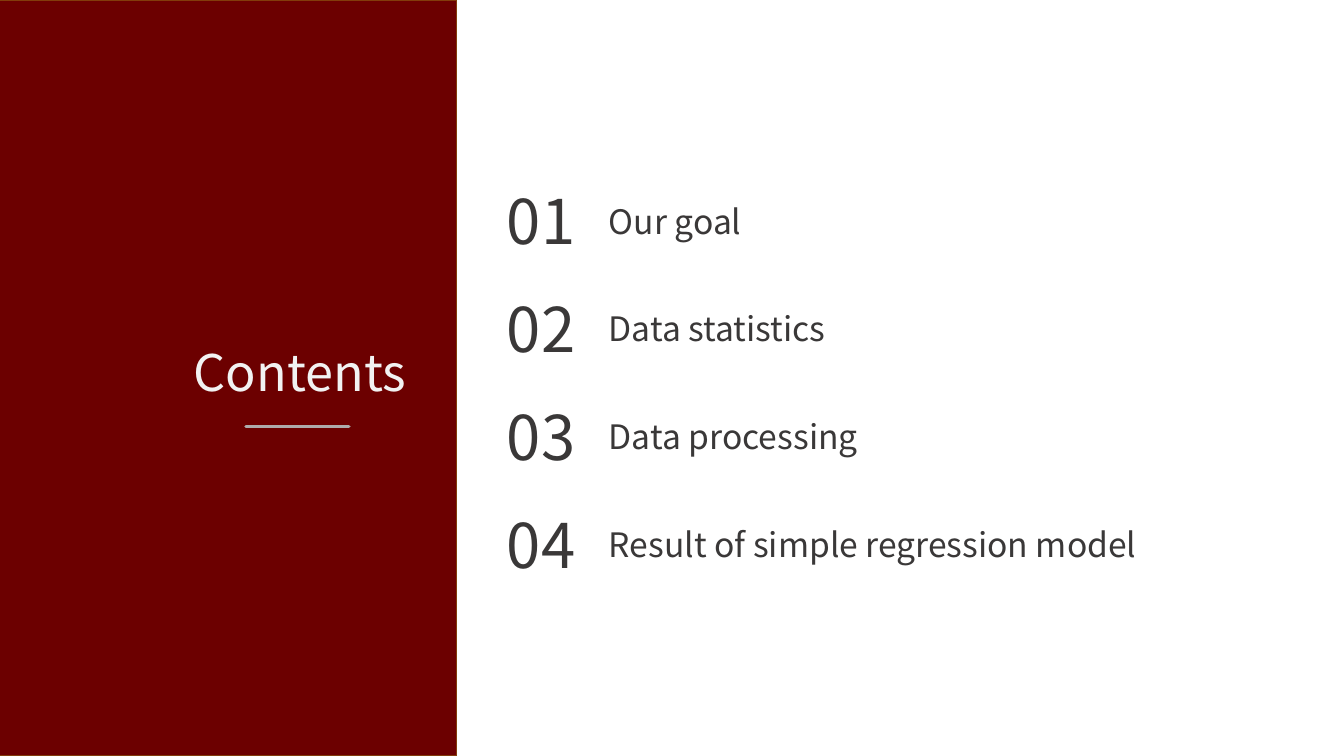
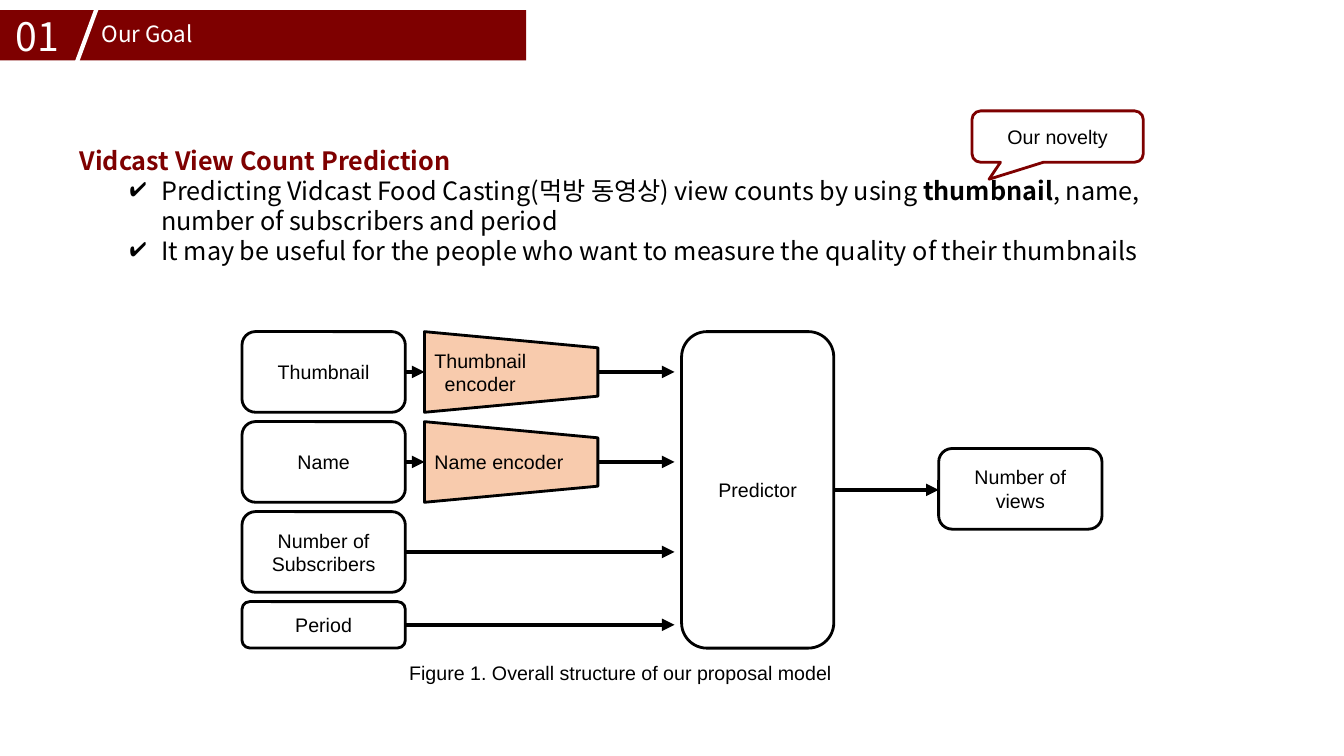
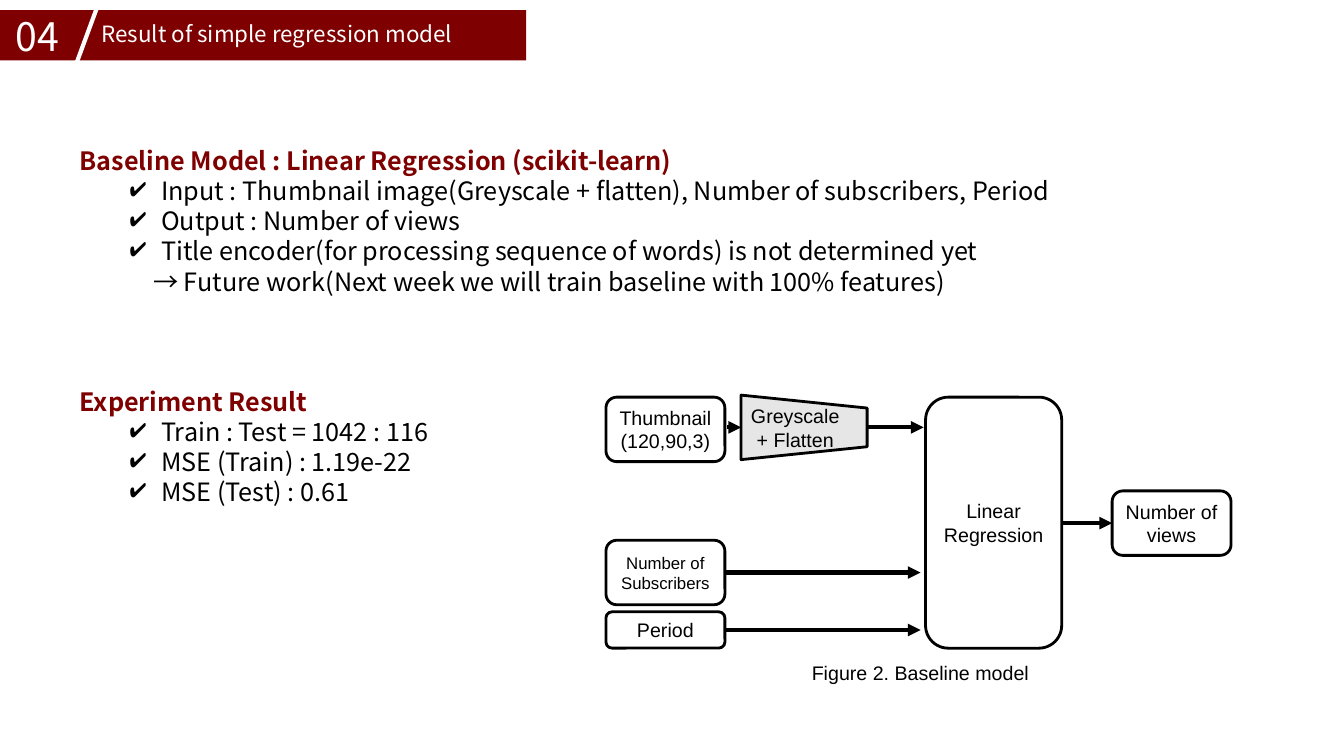
from lxml import etree
from pptx import Presentation
from pptx.dml.color import RGBColor
from pptx.enum.shapes import MSO_CONNECTOR, MSO_SHAPE
from pptx.enum.text import MSO_ANCHOR, PP_ALIGN
from pptx.oxml.ns import qn
from pptx.util import Inches, Pt

RECT = MSO_SHAPE.RECTANGLE
ROUND = MSO_SHAPE.ROUNDED_RECTANGLE
CONE = MSO_SHAPE.FLOWCHART_MANUAL_OPERATION
BUBBLE = MSO_SHAPE.ROUNDED_RECTANGULAR_CALLOUT
LINE = MSO_CONNECTOR.STRAIGHT
LEFT, CENTER = PP_ALIGN.LEFT, PP_ALIGN.CENTER
MIDDLE = MSO_ANCHOR.MIDDLE

SANS, ARIAL = "Noto Sans CJK KR", "Arial"
WHITE, BLACK = "FFFFFF", "000000"
RED, WINE, DARK = "7E0000", "6C0000", "3A3838"
PEACH, GREY = "F8CBAD", "E7E6E6"


def paint(color, tint):
    color.rgb = RGBColor.from_string(tint)


def style(para, size, tint, face=SANS, align=LEFT):
    para.alignment = align
    font = para.font
    font.size, font.name = Pt(size), face
    paint(font.color, tint)
    props = para._p.pPr.find(qn("a:defRPr"))
    etree.SubElement(props, qn("a:ea")).set("typeface", face)


def fill_text(frame, rows, size, tint, face=SANS, align=LEFT):
    frame.word_wrap = True
    for i, row in enumerate(rows):
        para = frame.paragraphs[0] if i == 0 else frame.add_paragraph()
        para.add_run().text = row
        style(para, size, tint, face, align)


def label(slide, text, x, y, w, h, size, tint, face=SANS, align=LEFT):
    box = slide.shapes.add_textbox(Inches(x), Inches(y), Inches(w), Inches(h))
    fill_text(box.text_frame, [text], size, tint, face, align)


def shape(slide, kind, x, y, w, h, fill, edge=None, width=2):
    item = slide.shapes.add_shape(kind, Inches(x), Inches(y), Inches(w), Inches(h))
    item.shadow.inherit = False
    item.fill.solid()
    paint(item.fill.fore_color, fill)
    if edge:
        paint(item.line.color, edge)
        item.line.width = Pt(width)
    else:
        item.line.fill.background()
    return item


def node(slide, text, x, y, w, h, size=14, kind=ROUND, edge=BLACK):
    item = shape(slide, kind, x, y, w, h, WHITE, edge)
    item.text_frame.vertical_anchor = MIDDLE
    fill_text(item.text_frame, text.split("\n"), size, BLACK, ARIAL, CENTER)
    return item


def cone(slide, text, x, y, w, h, fill):
    item = shape(slide, CONE, x + (w - h) / 2, y + (h - w) / 2, h, w, fill, BLACK)
    item.rotation = 270
    frame = item.text_frame
    frame.vertical_anchor = MIDDLE
    fill_text(frame, text.split("\n"), 14, BLACK, ARIAL, CENTER)
    frame._txBody.bodyPr.set("vert", "eaVert")


def line(slide, x1, y1, x2, y2, tint, width):
    item = slide.shapes.add_connector(LINE, Inches(x1), Inches(y1), Inches(x2), Inches(y2))
    paint(item.line.color, tint)
    item.line.width = Pt(width)
    etree.SubElement(item._element.spPr, qn("a:effectLst"))
    return item.line._get_or_add_ln()


def arrow(slide, x1, x2, y):
    ln = line(slide, x1, y, x2, y, BLACK, 3)
    etree.SubElement(ln, qn("a:tailEnd")).set("type", "triangle")


def indent(para, left, hang=0):
    props = para._p.get_or_add_pPr()
    props.set("marL", str(Inches(left)))
    props.set("indent", str(Inches(-hang)))
    return props


def tick(para):
    props = indent(para, 0.81, 0.31)
    tint = etree.SubElement(props, qn("a:buClr"))
    etree.SubElement(tint, qn("a:srgbClr")).set("val", BLACK)
    etree.SubElement(props, qn("a:buChar")).set("char", "✔")


def points(slide, y, h, head, rows, note=None):
    box = slide.shapes.add_textbox(Inches(0.69), Inches(y), Inches(10.82), Inches(h))
    frame = box.text_frame
    fill_text(frame, [head], 18, RED)
    first = frame.paragraphs[0]
    first.line_spacing = 1.5
    first.font.bold = True
    for row in rows:
        para = frame.add_paragraph()
        tick(para)
        for i, part in enumerate(row.split("*")):
            run = para.add_run()
            run.text = part
            if i % 2:
                run.font.bold = True
        style(para, 18, BLACK)
    if note:
        para = frame.add_paragraph()
        indent(para, 0.73)
        para.add_run().text = note
        style(para, 18, BLACK)


def band(slide, num, title):
    shape(slide, RECT, -0.01, 0.1, 5.23, 0.5, RED)
    label(slide, num, 0.06, 0.07, 0.71, 0.57, 28, WHITE)
    label(slide, title, 0.91, 0.15, 4.15, 0.37, 16, WHITE)
    line(slide, 0.99, 0, 0.75, 0.65, WHITE, 3)


def contents(slide):
    shape(slide, RECT, -0.01, 0, 4.54, 7.5, WINE, "833C0B", 1)
    label(slide, "Contents", 1.52, 3.33, 2.91, 0.71, 36, "F2F2F2", align=CENTER)
    line(slide, 2.44, 4.23, 3.46, 4.23, "AEABAB", 2.5).set("cap", "rnd")
    names = ["Our goal", "Data statistics", "Data processing",
             "Result of simple regression model"]
    for i, name in enumerate(names):
        y = 1.77 + 1.07 * i
        label(slide, f"{i + 1:02}", 4.93, y, 2, 0.84, 44, DARK)
        label(slide, name, 5.94, y + 0.17, 5.58, 0.5, 24, DARK)


def goal(slide):
    band(slide, "01", "Our Goal")
    points(slide, 1.24, 1.46, "Vidcast View Count Prediction", [
        "Predicting Vidcast Food Casting(먹방 동영상) view counts by using "
        "*thumbnail*, name, number of subscribers and period",
        "It may be useful for the people who want to measure the quality of "
        "their thumbnails"])
    inputs = [("Thumbnail", "Thumbnail encoder", 0.8), ("Name", "Name encoder", 0.8),
              ("Number of Subscribers", None, 0.8), ("Period", None, 0.46)]
    for i, (name, coder, h) in enumerate(inputs):
        y = 3.29 + 0.893 * i
        mid = y + h / 2
        node(slide, name, 2.4, y, 1.62, h)
        if coder:
            cone(slide, coder, 4.21, y, 1.72, h, PEACH)
            arrow(slide, 4.02, 4.21, mid)
        arrow(slide, 5.93 if coder else 4.02, 6.69, mid)
    node(slide, "Predictor", 6.76, 3.29, 1.51, 3.14)
    node(slide, "Number of views", 9.31, 4.45, 1.62, 0.8)
    arrow(slide, 8.27, 9.31, 4.86)
    label(slide, "Figure 1. Overall structure of our proposal model",
          3.96, 6.51, 6, 0.4, 14, BLACK, ARIAL)
    bubble = node(slide, "Our novelty", 9.64, 1.1, 1.7, 0.51, kind=BUBBLE, edge=RED)
    for i, value in enumerate((-0.4, 0.83, 0.17)):
        bubble.adjustments[i] = value


def result(slide):
    band(slide, "04", "Result of simple regression model")
    points(slide, 1.24, 1.77, "Baseline Model : Linear Regression (scikit-learn)", [
        "Input : Thumbnail image(Greyscale + flatten), Number of subscribers, Period",
        "Output : Number of views",
        "Title encoder(for processing sequence of words) is not determined yet"],
        "→ Future work(Next week we will train baseline with 100% features)")
    points(slide, 3.63, 1.46, "Experiment Result", [
        "Train : Test = 1042 : 116", "MSE (Train) : 1.19e-22", "MSE (Test) : 0.61"])
    node(slide, "Thumbnail\n(120,90,3)", 6.01, 3.94, 1.18, 0.64)
    cone(slide, "Greyscale\n+ Flatten", 7.35, 3.92, 1.25, 0.64, GREY)
    arrow(slide, 7.21, 7.35, 4.24)
    arrow(slide, 8.6, 9.16, 4.24)
    for name, y, h, size in (("Number of Subscribers", 5.36, 0.64, 12),
                             ("Period", 6.07, 0.36, 14)):
        node(slide, name, 6.01, y, 1.18, h, size)
        arrow(slide, 7.19, 9.13, y + h / 2)
    node(slide, "Linear\nRegression", 9.18, 3.94, 1.35, 2.49)
    node(slide, "Number of views", 11.03, 4.87, 1.18, 0.64)
    arrow(slide, 10.53, 11.03, 5.19)
    label(slide, "Figure 2. Baseline model", 6.95, 6.51, 4.36, 0.29, 14,
          BLACK, ARIAL, CENTER)


def main():
    deck = Presentation()
    deck.slide_width, deck.slide_height = Inches(13.33), Inches(7.5)
    for build in (contents, goal, result):
        build(deck.slides.add_slide(deck.slide_layouts[6]))
    deck.save("out.pptx")


if __name__ == "__main__":
    main()
